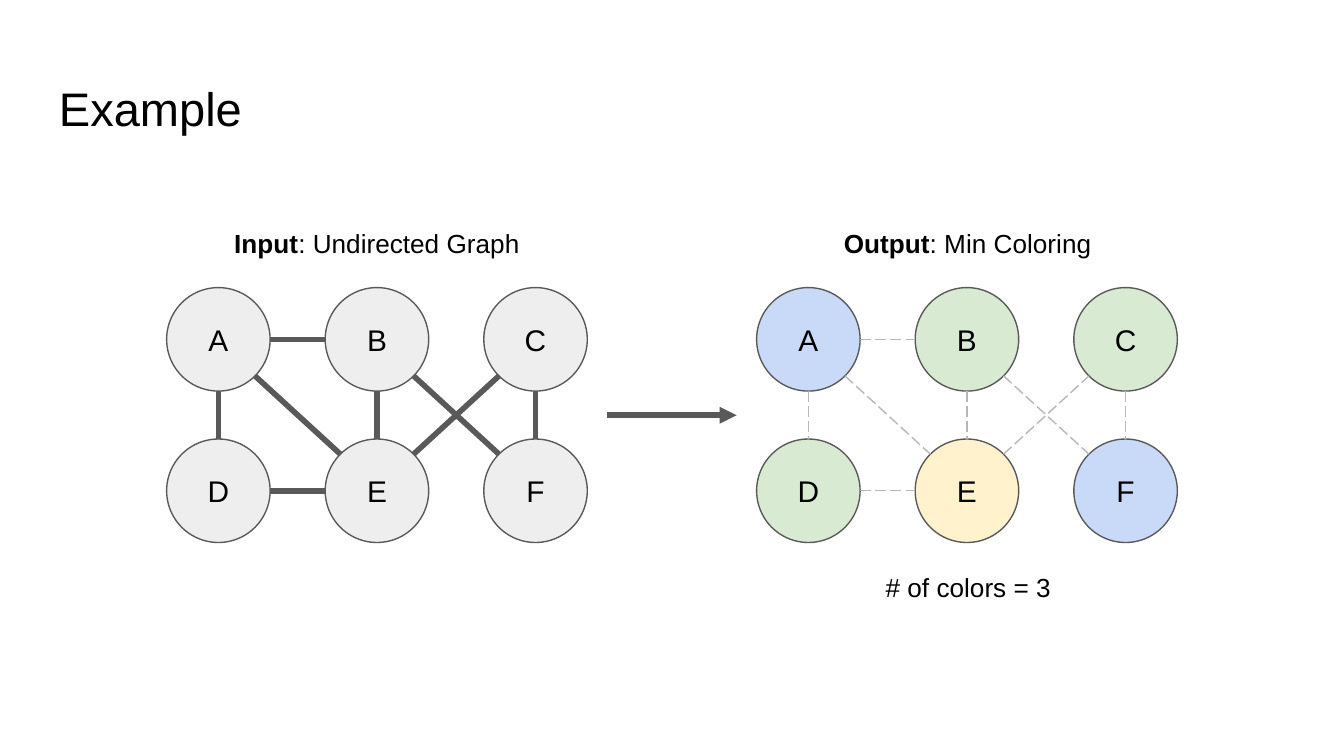
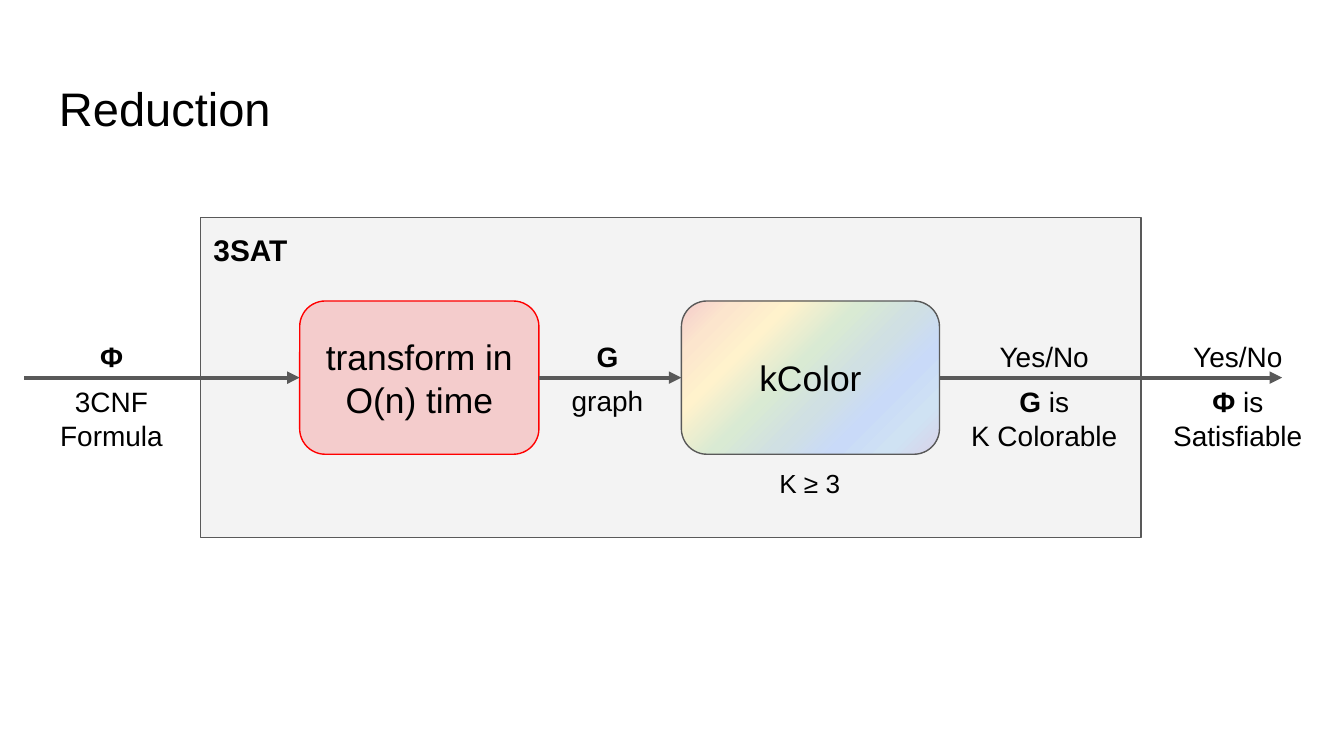
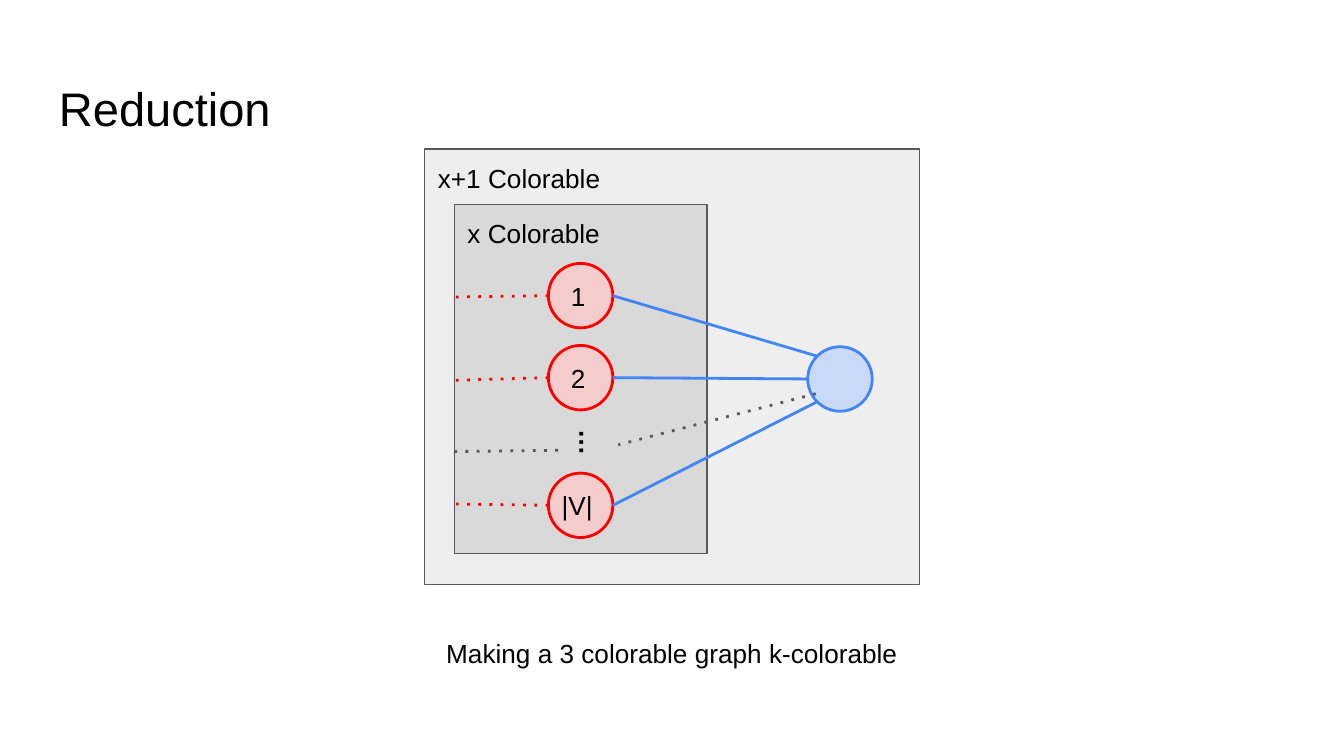
from dataclasses import dataclass
from math import hypot

from lxml import etree
from pptx import Presentation
from pptx.dml.color import RGBColor
from pptx.enum.shapes import MSO_CONNECTOR, MSO_SHAPE
from pptx.enum.text import MSO_ANCHOR, PP_ALIGN
from pptx.oxml.ns import qn
from pptx.util import Inches, Pt

STRAIGHT = MSO_CONNECTOR.STRAIGHT
ELLIPSE, RECTANGLE = MSO_SHAPE.OVAL, MSO_SHAPE.RECTANGLE
ROUNDED = MSO_SHAPE.ROUNDED_RECTANGLE
TOP, MIDDLE = MSO_ANCHOR.TOP, MSO_ANCHOR.MIDDLE
LEFT, CENTER = PP_ALIGN.LEFT, PP_ALIGN.CENTER
LEFT_SITE, RIGHT_SITE = 1, 3
CELL = Inches(0.1)
COLUMNS, ROWS = 100, 56.25


@dataclass(frozen=True)
class Theme:
    """Colours, type sizes and line widths shared by the slides."""
    font: str = "Arial"
    ink: str = "000000"
    line: str = "595959"
    faint: str = "B7B7B7"
    panel: str = "F3F3F3"
    node: str = "EEEEEE"
    inner: str = "D9D9D9"
    red: str = "FF0000"
    pink: str = "F4CCCC"
    blue: str = "4285F4"
    sky: str = "C9DAF8"
    green: str = "D9EAD3"
    yellow: str = "FFF2CC"
    rainbow: tuple = ((0, "F4CCCC"), (13, "FCE5CD"), (27, "FFF2CC"), (44, "D9EAD3"),
                      (59, "D0E0E3"), (73, "C9DAF8"), (87, "CFE2F3"), (100, "D9D2E9"))
    title: float = 25.2
    process: float = 19
    heading: float = 16
    flow: float = 15
    body: float = 14
    thin: float = 0.75
    medium: float = 1.5
    arrow: float = 2.25
    thick: float = 3


THEME = Theme()


def cells(*values):
    """Turn grid cells into slide lengths."""
    return [round(value * CELL) for value in values]


def write_text(shape, paragraphs, size, align=LEFT, anchor=TOP, gap=0):
    """Write paragraphs, each a string or a (bold lead, plain rest) pair."""
    frame = shape.text_frame
    frame.word_wrap = True
    frame.vertical_anchor = anchor
    frame.margin_left = frame.margin_right = CELL
    frame.margin_top = frame.margin_bottom = CELL
    for index, content in enumerate(paragraphs):
        paragraph = frame.paragraphs[0] if index == 0 else frame.add_paragraph()
        lead, rest = ("", content) if isinstance(content, str) else content
        paragraph.alignment = align
        paragraph.space_before = Pt(gap if index == 1 else 0)
        paragraph.font.name = THEME.font
        paragraph.font.size = Pt(size)
        paragraph.font.color.rgb = RGBColor.from_string(THEME.ink)
        paragraph.font.bold = not rest
        if lead:
            run = paragraph.add_run()
            run.text = lead
            run.font.bold = True
        if rest:
            paragraph.add_run().text = rest


def add_label(slide, box, paragraphs, size=THEME.body, align=CENTER, anchor=TOP, gap=0):
    """Add a text box and return it."""
    label = slide.shapes.add_textbox(*cells(*box))
    write_text(label, paragraphs, size, align, anchor, gap)
    return label


def add_titled_slide(presentation, title):
    """Add a blank slide with the shared title."""
    slide = presentation.slides.add_slide(presentation.slide_layouts[6])
    add_label(slide, (3.4, 4.9, 93.2, 6.3), [title], THEME.title, LEFT)
    return slide


def fill_gradient(shape, stops, angle):
    """Fill a shape with a linear gradient of several stops."""
    shape.fill.gradient()
    shape.fill.gradient_angle = 360 - angle
    stop_list = shape.element.spPr.find(".//" + qn("a:gsLst"))
    for stop in list(stop_list):
        stop_list.remove(stop)
    for percent, color in stops:
        stop = etree.SubElement(stop_list, qn("a:gs"), pos=str(percent * 1000))
        etree.SubElement(stop, qn("a:srgbClr"), val=color)


def add_box(shapes, kind, box, fill, line=THEME.line, width=THEME.thin):
    """Add a flat preset shape with a plain or gradient fill."""
    shape = shapes.add_shape(kind, *cells(*box))
    shape.shadow.inherit = False
    if isinstance(fill, str):
        shape.fill.solid()
        shape.fill.fore_color.rgb = RGBColor.from_string(fill)
    else:
        fill_gradient(shape, fill, 45)
    shape.line.color.rgb = RGBColor.from_string(line)
    shape.line.width = Pt(width)
    return shape


def add_link(shapes, start, end, color=THEME.line, width=THEME.medium, dash=None, arrow=False):
    """Draw a straight line between two grid points."""
    link = shapes.add_connector(STRAIGHT, *cells(*start, *end))
    link.line.color.rgb = RGBColor.from_string(color)
    link.line.width = Pt(width)
    properties = link.element.spPr
    outline = properties.find(qn("a:ln"))
    if dash:
        etree.SubElement(outline, qn("a:prstDash"), val=dash)
    if arrow:
        etree.SubElement(outline, qn("a:tailEnd"), type="triangle")
    etree.SubElement(properties, qn("a:effectLst"))
    return link


def rim(circle, across, down):
    """Give the grid point where a direction from the centre meets the circle."""
    reach = circle.width / 2 / hypot(across, down)
    return ((circle.left + circle.width / 2 + across * reach) / CELL,
            (circle.top + circle.height / 2 + down * reach) / CELL)


def add_graph(slide, left, fills, color, width, dash=None):
    """Draw the six-node graph as one group."""
    shapes = slide.shapes.add_group_shape().shapes
    places = {name: (index % 3, index // 3) for index, name in enumerate("ABCDEF")}
    nodes = {}
    for (name, (column, row)), fill in zip(places.items(), fills):
        box = (left + column * 11.8, 21.4 + row * 11.27, 7.7, 7.7)
        nodes[name] = add_box(shapes, ELLIPSE, box, fill)
        write_text(nodes[name], [name], THEME.heading, CENTER, MIDDLE)
    for first, second in ("AB", "AD", "DE", "BE", "AE", "BF", "EC", "CF"):
        across, down = (b - a for a, b in zip(places[first], places[second]))
        add_link(shapes, rim(nodes[first], across, down),
                 rim(nodes[second], -across, -down), color, width, dash)


def build_example(presentation):
    """Show a graph and its minimum coloring."""
    slide = add_titled_slide(presentation, "Example")
    add_graph(slide, 12.4, [THEME.node] * 6, THEME.line, THEME.thick)
    coloring = [THEME.sky, THEME.green, THEME.green, THEME.green, THEME.yellow, THEME.sky]
    add_graph(slide, 56.3, coloring, THEME.faint, THEME.thin, "lgDash")
    add_link(slide.shapes, (45.2, 30.9), (54.8, 30.9), width=THEME.thick, arrow=True)
    add_label(slide, (15, 15.9, 26.1, 4.4), [("Input", ": Undirected Graph")])
    add_label(slide, (59.7, 15.9, 24.6, 4.4), [("Output", ": Min Coloring")])
    add_label(slide, (64.1, 41.5, 15.9, 4.4), ["# of colors = 3"])


def build_reduction(presentation):
    """Show the flow from 3SAT to kColor."""
    slide = add_titled_slide(presentation, "Reduction")
    shapes = slide.shapes
    panel = add_box(shapes, RECTANGLE, (14.9, 16.2, 70, 23.8), THEME.panel)
    write_text(panel, [("3SAT", "")], THEME.heading)
    transform = add_box(shapes, ROUNDED, (22.3, 22.4, 17.8, 11.4), THEME.pink, THEME.red)
    write_text(transform, ["transform in O(n) time"], THEME.process, CENTER, MIDDLE)
    solver = add_box(shapes, ROUNDED, (50.7, 22.4, 19.2, 11.4), THEME.rainbow)
    write_text(solver, ["kColor"], THEME.process, CENTER, MIDDLE)
    flow = 28.1
    for start, end, source, target in (
            (1.8, 22.3, None, transform),
            (40.1, 50.7, transform, solver),
            (69.9, 95.4, solver, None)):
        link = add_link(shapes, (start, flow), (end, flow), width=THEME.arrow, arrow=True)
        if source:
            link.begin_connect(source, RIGHT_SITE)
        if target:
            link.end_connect(target, LEFT_SITE)
    for left, width, height, paragraphs in (
            (2.8, 11, 9.7, [("Φ", ""), "3CNF", "Formula"]),
            (41.4, 7.6, 7.1, [("G", ""), "graph"]),
            (69.8, 15.8, 9.7, ["Yes/No", ("G", " is"), "K Colorable"]),
            (84.2, 15.8, 9.7, ["Yes/No", ("Φ", " is Satisfiable")])):
        add_label(slide, (left, 24.6, width, height), paragraphs,
                  THEME.flow, anchor=MIDDLE, gap=6)
    add_label(slide, (53.7, 33.8, 13.1, 4.4), ["K ≥ 3"])


def build_extension(presentation):
    """Show how one more vertex adds one more color."""
    slide = add_titled_slide(presentation, "Reduction")
    shapes = slide.shapes
    for box, fill, name in (
            ((31.6, 11.1, 36.8, 32.4), THEME.node, "x+1 Colorable"),
            ((33.8, 15.2, 18.8, 26), THEME.inner, "x Colorable")):
        write_text(add_box(shapes, RECTANGLE, box, fill), [name], THEME.body)
    diameter = 4.8
    hub = add_box(shapes, ELLIPSE, (60.1, 25.8, diameter, diameter),
                  THEME.sky, THEME.blue, THEME.medium)
    for top, name, outside, slope in (
            (19.6, "1", (33.9, 22.1), -1),
            (25.7, "2", (33.8, 28.3), 0),
            (35.2, "", (33.8, 37.5), 1)):
        vertex = add_box(shapes, ELLIPSE, (40.8, top, diameter, diameter),
                         THEME.pink, THEME.red, THEME.medium)
        if name:
            write_text(vertex, [name], THEME.body, LEFT, MIDDLE)
        add_link(shapes, rim(vertex, -1, 0), outside, THEME.red, dash="dot")
        add_link(shapes, rim(vertex, 1, 0), rim(hub, -1, slope), THEME.blue)
    add_link(shapes, (60.7, 29.3), (46, 33.1), dash="dot")
    add_link(shapes, (33.8, 33.6), (41.8, 33.5), dash="dot")
    add_label(slide, (40.5, 29.8, 4.4, 6.7), [("…", "")], align=LEFT).rotation = 90
    add_label(slide, (40.8, 35.4, 6.9, 4.4), ["|V|"], align=LEFT)
    add_label(slide, (21.5, 46.4, 57, 4.4), ["Making a 3 colorable graph k-colorable"])


def main():
    """Build the presentation."""
    presentation = Presentation()
    presentation.slide_width, presentation.slide_height = cells(COLUMNS, ROWS)
    build_example(presentation)
    build_reduction(presentation)
    build_extension(presentation)
    presentation.save("out.pptx")


if __name__ == "__main__":
    main()
